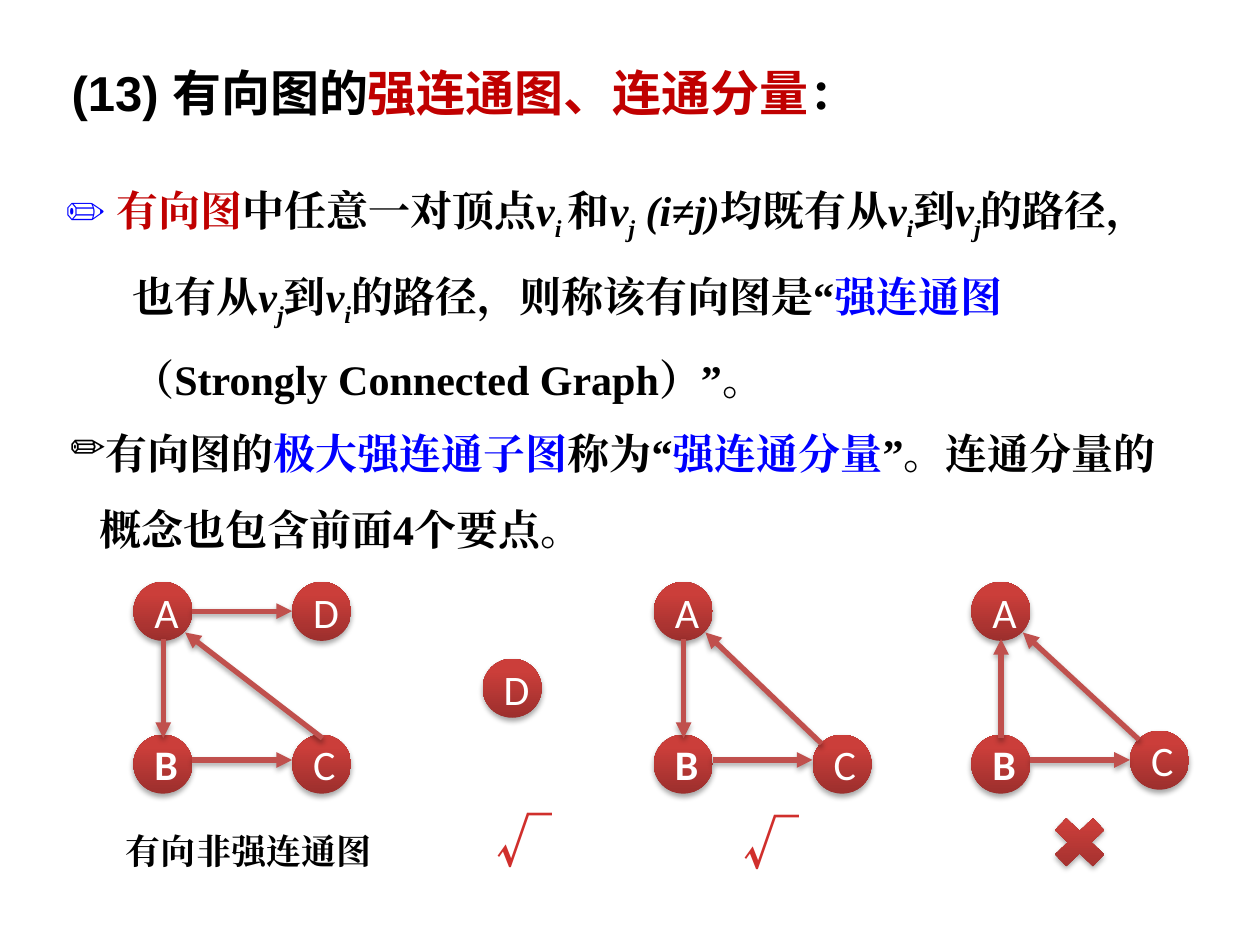
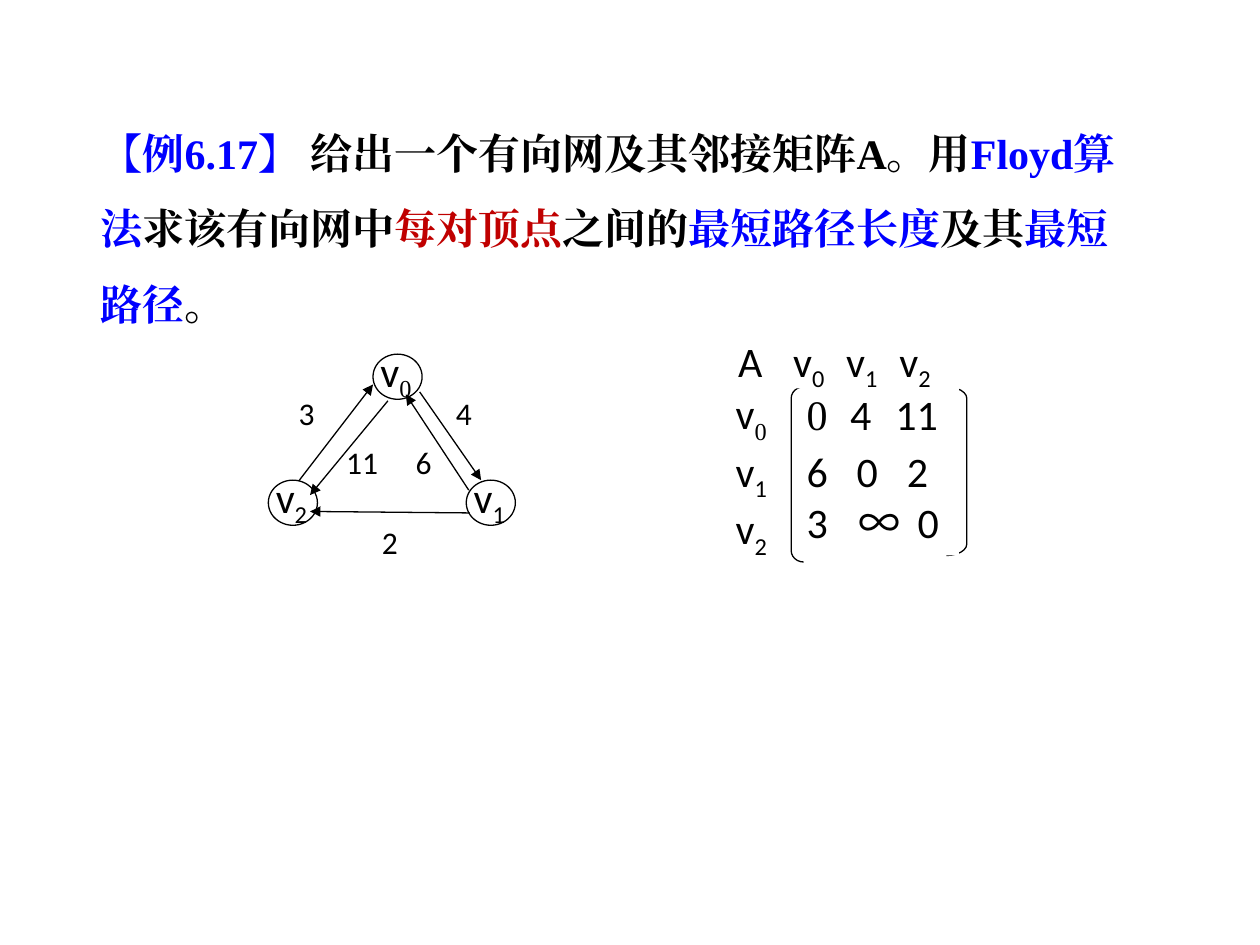
"""Build two slides on strongly connected digraphs and shortest paths."""
from copy import deepcopy

from lxml import etree
from pptx import Presentation
from pptx.dml.color import RGBColor
from pptx.enum.shapes import MSO_CONNECTOR, MSO_SHAPE
from pptx.enum.text import MSO_ANCHOR, PP_ALIGN
from pptx.oxml import parse_xml
from pptx.oxml.ns import nsdecls, qn
from pptx.util import Cm, Pt

STRAIGHT = MSO_CONNECTOR.STRAIGHT
OVAL, CROSS = MSO_SHAPE.OVAL, MSO_SHAPE.MATH_MULTIPLY
LEFT_BRACKET, RIGHT_BRACKET = MSO_SHAPE.LEFT_BRACKET, MSO_SHAPE.RIGHT_BRACKET
LEFT, CENTER = PP_ALIGN.LEFT, PP_ALIGN.CENTER
TOP, MIDDLE = MSO_ANCHOR.TOP, MSO_ANCHOR.MIDDLE

COLOURS = {
    "black": "000000", "white": "FFFFFF", "blue": "0000FF", "red": "C00000",
    "edge": "C0504D", "node_dark": "9C2F2D", "node_light": "CB3E3A", "tick": "D02F2C",
}
SHADOW = parse_xml(
    f'<a:effectLst {nsdecls("a")}><a:outerShdw blurRad="40000" dist="23000" dir="5400000" '
    'rotWithShape="0"><a:srgbClr val="000000"><a:alpha val="35000"/></a:srgbClr>'
    '</a:outerShdw></a:effectLst>')

BODY = {"size": Pt(24), "name": "Times New Roman", "bold": True, "colour": "black"}
MATH = {"size": Pt(24), "name": "Calibri", "bold": False, "colour": "black"}
BLUE, RED, PLAIN = {"colour": "blue"}, {"colour": "red"}, {}
CJK = {"name": "Noto Sans CJK SC"}
TIMES = {"name": "Times New Roman"}
SUB = {"baseline": "-25000"}
VAR, VAR_SUB = {"italic": True}, {"italic": True, **SUB}
VI, VJ = ([("v", VAR), (index, VAR_SUB)] for index in "ij")


def write(frame, rows, base, margins=None):
    """Fill a text frame with rows of (text, format) spans."""
    frame.word_wrap = True
    if margins:
        frame.margin_left = frame.margin_right = Cm(margins[0])
        frame.margin_top = frame.margin_bottom = Cm(margins[1])
    for number, spans in enumerate(rows):
        para = frame.add_paragraph() if number else frame.paragraphs[0]
        for text, changes in spans:
            span = para.add_run()
            span.text = text
            values = base | changes
            span.font.color.rgb = RGBColor.from_string(COLOURS[values.pop("colour")])
            properties = span._r.get_or_add_rPr()
            if "baseline" in values:
                properties.set("baseline", values.pop("baseline"))
            for key, value in values.items():
                setattr(span.font, key, value)
            etree.SubElement(properties, qn("a:ea"), typeface=values["name"])


def draw_arrow(page, start, end, colour, weight, effects):
    """Draw a straight arrow between two points given in centimetres."""
    arrow = page.shapes.add_connector(STRAIGHT, *map(Cm, start + end))
    arrow.line.color.rgb = RGBColor.from_string(COLOURS[colour])
    arrow.line.width = Pt(weight)
    etree.SubElement(arrow.line._get_or_add_ln(), qn("a:tailEnd"), type="triangle")
    arrow._element.spPr.append(effects)


deck = Presentation()
deck.slide_width, deck.slide_height = Cm(25.4), Cm(19.05)

page = deck.slides.add_slide(deck.slide_layouts[5])
title = page.shapes.title
place = {"left": 1.19, "top": 1.12, "width": 21.82, "height": 1.45}
for key, value in place.items():
    setattr(title, key, Cm(value))
write(title.text_frame, [[
    ("(13) 有向图的", {"name": "Arial"}), ("强连通图、连通分量", CJK | RED), ("：", PLAIN),
]], BODY | {"size": Pt(28)})
title.text_frame.vertical_anchor = MIDDLE
title.text_frame.paragraphs[0].alignment = LEFT

definition = [
    ("✏ ", BLUE), ("有向图", RED), ("中任意一对顶点", PLAIN), *VI, (" ", VAR_SUB), ("和", PLAIN),
    *VJ, (" (i≠j)", VAR), ("均既有从", PLAIN), *VI, ("到", PLAIN), *VJ,
    ("的路径，也有从", PLAIN), *VJ, ("到", PLAIN), *VI,
    ("的路径，则称该有向图是“", PLAIN), ("强连通图", BLUE),
    ("（Strongly Connected Graph）”。", PLAIN),
]
component = [
    ("有向图的", PLAIN), ("极大强连通子图", BLUE), ("称为“", PLAIN), ("强连通分量", BLUE),
    ("”。连通分量的概念也包含前面4个要点。", PLAIN),
]
for left, top, height, indent, bullet, spans in [
    (1.32, 3.02, 4.67, 1.35, None, definition),
    (1.42, 7.98, 3.15, 0.58, "✏", component),
]:
    box = page.shapes.add_textbox(Cm(left), Cm(top), Cm(22.48), Cm(height))
    para = box.text_frame.paragraphs[0]
    layout = para._p.get_or_add_pPr()
    layout.set("marL", str(Cm(indent)))
    layout.set("indent", str(-Cm(indent)))
    if bullet:
        etree.SubElement(layout, qn("a:buChar"), char=bullet)
    para.line_spacing = 1.5
    write(box.text_frame, [spans], BODY, (0, 0.13))

NODE, STEP, ROW_A, ROW_B = 1.19, 3.2, 11.73, 14.81
FIRST, SECOND, THIRD = 2.69, 13.18, 19.58
nodes = [("D", FIRST + STEP, ROW_A), ("D", 9.73, 13.28), ("C", THIRD + STEP, 14.73)]
nodes += [("C", left + STEP, ROW_B) for left in (FIRST, SECOND)]
for left in (FIRST, SECOND, THIRD):
    nodes += [("A", left, ROW_A), ("B", left, ROW_B)]
figures = [(OVAL, left, top, NODE, NODE, label) for label, left, top in nodes]
figures.append((CROSS, 21.03, 16.28, 1.47, 1.4, ""))
for preset, left, top, width, height, label in figures:
    figure = page.shapes.add_shape(preset, Cm(left), Cm(top), Cm(width), Cm(height))
    figure.fill.gradient()
    figure.fill.gradient_angle = 90
    for stop, colour, position in zip(
            figure.fill.gradient_stops, ("node_dark", "node_light"), (0, 0.8)):
        stop.color.rgb = RGBColor.from_string(COLOURS[colour])
        stop.position = position
    figure.line.fill.background()
    figure._element.spPr.append(deepcopy(SHADOW))
    if label:
        write(figure.text_frame, [[(label, {"bold": label == "B"})]], MATH | {"colour": "white"})
        figure.text_frame.vertical_anchor = MIDDLE
        figure.text_frame.paragraphs[0].alignment = CENTER

edges = [((FIRST + NODE, 12.32), (FIRST + STEP, 12.32))]
for left, reach, foot in [(FIRST, 3.81, 14.88), (SECOND, 3.38, 14.99), (THIRD, 3.38, 14.91)]:
    upright = [(left + 0.6, 12.88), (left + 0.6, 14.88)]
    edges += [
        upright[::-1] if left == THIRD else upright,
        ((left + NODE, 15.32), (left + STEP, 15.32)),
        ((left + reach, foot), (left + 1.04, 12.75)),
    ]
for start, end in edges:
    draw_arrow(page, start, end, "edge", 3, deepcopy(SHADOW))

TICK = {"size": Pt(32), "name": "Noto Sans CJK JP", "colour": "tick"}
for text, left, top, width, height, changes in [
    ("√", 9.75, 16.13, 1.65, 1.63, TICK),
    ("√", 14.73, 16.18, 1.65, 1.63, TICK),
    ("有向非强连通图", 2.29, 16.59, 5.54, 1.12, {"size": Pt(20)}),
]:
    box = page.shapes.add_textbox(Cm(left), Cm(top), Cm(width), Cm(height))
    write(box.text_frame, [[(text, changes)]], BODY)
    box.text_frame.word_wrap = False

page = deck.slides.add_slide(deck.slide_layouts[6])
box = page.shapes.add_textbox(Cm(1.78), Cm(1.93), Cm(21.64), Cm(4.88))
box.text_frame.paragraphs[0].line_spacing = 1.5
write(box.text_frame, [[
    ("【例6.17】 ", BLUE), ("给出一个有向网及其邻接矩阵A。用", PLAIN), ("Floyd算法", BLUE),
    ("求该有向网中", PLAIN), ("每对顶点", RED), ("之间的", PLAIN), ("最短路径长度", BLUE),
    ("及其", PLAIN), ("最短路径", BLUE), ("。", PLAIN),
]], BODY)

outlines = [
    (LEFT_BRACKET, 15.95, 7.8, 0.25, 3.53, 0.93),
    (RIGHT_BRACKET, 19.08, 7.8, 0.41, 3.4, 0.56),
]
V0, V1, V2 = [("v", PLAIN), ("0", SUB | TIMES)], [("v", PLAIN), ("1", SUB)], [("v", PLAIN), ("2", SUB)]
header = [("A\tv", PLAIN), ("0", SUB), ("\t", PLAIN), *V1, ("\t", PLAIN), *V2]
matrix = [
    [("0", TIMES), ("\t4\t11", PLAIN)],
    [("6\t0\t2", PLAIN)],
    [("3\t", PLAIN), ("∞", CJK), ("\t0", PLAIN)],
]
boxes = [
    (14.73, 6.76, 4.75, 1.07, 0.15, 24, [header], [(1.11, 2.18, 3.25)], []),
    (16.21, 7.82, 3.12, 3.38, 0.05, 24, matrix,
     [(0.88, 1.79), (1.01, 2.02), (1.04, 2.24)], [29, 33, 29]),
    (14.78, 7.82, 0.91, 3.5, 0.05, 24, [V0, V1, V2], [], []),
]
for spans, left, top in [(V0, 7.52, 7.14), (V1, 9.4, 9.68), (V2, 5.41, 9.68)]:
    boxes.append((left + 0.15, top - 0.18, 0.84, 1.09, 0, 24, [spans], [], []))
    outlines.append((OVAL, left, top, 0.99, 0.91, None))
for weight, left, top, width, height in [
    ("2", 7.7, 10.54, 0.41, 1.19), ("11", 6.98, 8.94, 1.19, 1.17), ("3", 6.02, 7.95, 0.79, 0.81),
    ("6", 8.38, 8.94, 0.41, 0.99), ("4", 9.19, 7.95, 0.66, 0.81),
]:
    boxes.append((left, top, width, height, 0, 18, [[(weight, PLAIN)]], [], []))

brackets, rings = outlines[:2], outlines[2:]
for preset, left, top, width, height, bend in brackets + rings:
    outline = page.shapes.add_shape(preset, Cm(left), Cm(top), Cm(width), Cm(height))
    outline.shadow.inherit = False
    outline.fill.background()
    outline.line.color.rgb = RGBColor.from_string(COLOURS["black"])
    outline.line.width = Pt(0.75)
    if bend:
        outline.adjustments[0] = bend
    if preset == OVAL:
        continue
for left, top, width, height, margin, size, rows, stops, spacing in boxes:
    box = page.shapes.add_textbox(Cm(left), Cm(top), Cm(width), Cm(height))
    if size == 18 or len(rows) > 1 or stops:
        box.fill.solid()
        box.fill.fore_color.rgb = RGBColor.from_string(COLOURS["white"])
    write(box.text_frame, rows, MATH | {"size": Pt(size)}, (margin, 0))
    box.text_frame.vertical_anchor = TOP
    for para, positions in zip(box.text_frame.paragraphs, stops):
        tabs = etree.SubElement(para._p.get_or_add_pPr(), qn("a:tabLst"))
        for position in positions:
            etree.SubElement(tabs, qn("a:tab"), pos=str(Cm(position)), algn="l")
    for para, points in zip(box.text_frame.paragraphs, spacing):
        para.line_spacing = Pt(points)

for start, end in [
    ((9.47, 10.34), (6.25, 10.31)), ((7.82, 8.08), (6.25, 9.98)), ((6.02, 9.7), (7.52, 7.75)),
    ((9.45, 9.88), (8.18, 7.95)), ((8.46, 7.9), (9.7, 9.68)),
]:
    draw_arrow(page, start, end, "black", 0.75, parse_xml(f'<a:effectLst {nsdecls("a")}/>'))

deck.save("out.pptx")
